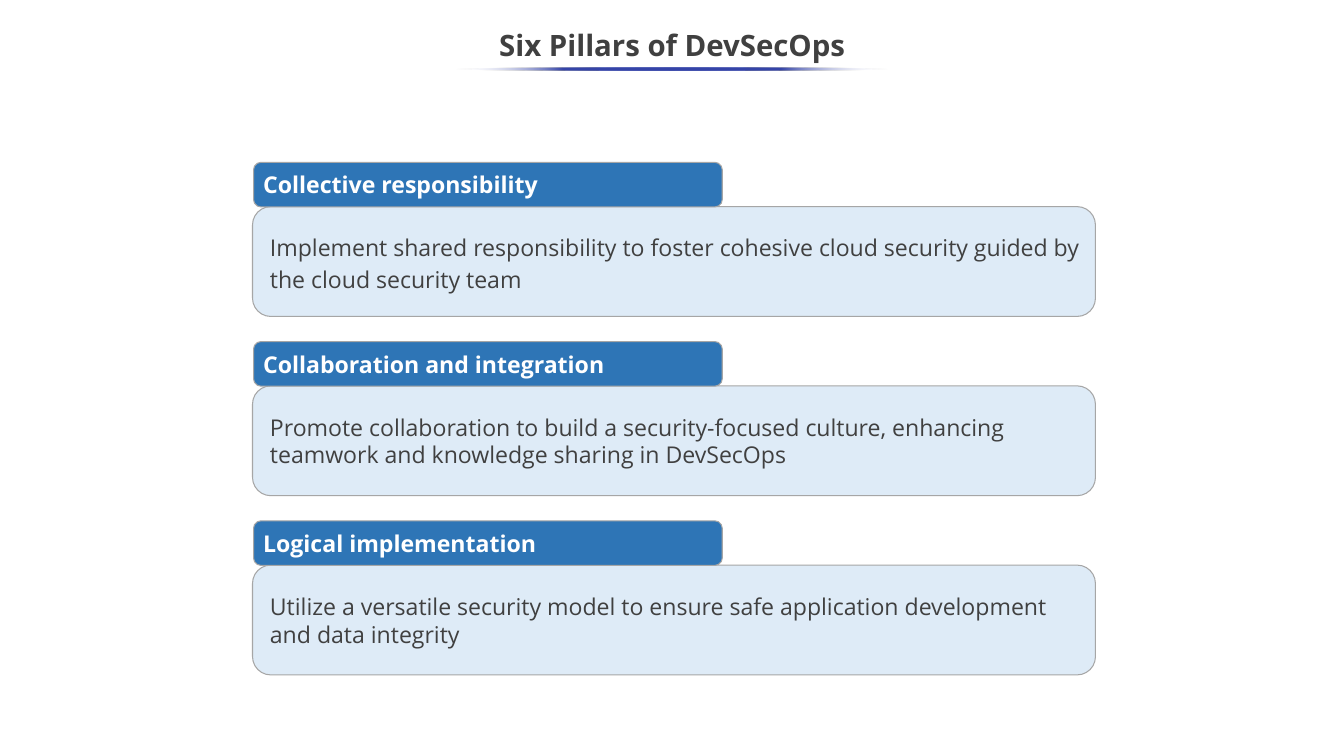
from dataclasses import dataclass

from lxml import etree
from pptx import Presentation
from pptx.dml.color import RGBColor
from pptx.enum.shapes import MSO_SHAPE as Shape
from pptx.enum.text import MSO_ANCHOR as Anchor, MSO_AUTO_SIZE as AutoSize, PP_ALIGN as Align
from pptx.oxml import parse_xml
from pptx.oxml.ns import nsdecls, qn
from pptx.util import Pt


@dataclass(frozen=True)
class Theme:
    font: str = "Open Sans"
    title_size: float = 28
    text_size: float = 22
    ink: str = "404040"
    white: str = "FFFFFF"
    heading_fill: str = "2E75B6"
    body_fill: str = "DEEBF7"
    border: str = "A6A6A6"
    accent: str = "3645A9"


def write(s, text, *, theme, size, color, bold=False, align=Align.LEFT,
          spacing=1.0, insets=(7.2, 3.6, 7.2, 3.6)):
    """Put one formatted paragraph into a shape."""
    tf = s.text_frame
    tf.word_wrap = True
    tf.auto_size = AutoSize.NONE
    tf.vertical_anchor = Anchor.MIDDLE
    tf.margin_left, tf.margin_top, tf.margin_right, tf.margin_bottom = map(Pt, insets)
    p = tf.paragraphs[0]
    p.alignment = align
    p.line_spacing = spacing
    r = p.add_run()
    r.text = text
    r.font.name = theme.font
    r.font.size = Pt(size)
    r.font.bold = bold
    r.font.color.rgb = RGBColor.from_string(color)


class Deck:
    def __init__(self, theme, width, height):
        self.theme = theme
        self.prs = Presentation()
        self.prs.slide_width, self.prs.slide_height = Pt(width), Pt(height)
        self.slide = None

    def add_slide(self):
        self.slide = self.prs.slides.add_slide(self.prs.slide_layouts[5])

    def title(self, text, box):
        s = self.slide.shapes.title
        s.left, s.top, s.width, s.height = map(Pt, box)
        write(s, text, theme=self.theme, size=self.theme.title_size,
              color=self.theme.ink, bold=True, align=Align.CENTER, spacing=0.9)

    def underline(self, box):
        """Thin ellipse that fades out at both ends."""
        s = self.slide.shapes.add_shape(Shape.OVAL, *map(Pt, box))
        s.shadow.inherit = False
        s.line.fill.background()
        t = self.theme
        grad = parse_xml(f'<a:gradFill {nsdecls("a")} rotWithShape="1"><a:gsLst/>'
                         '<a:lin ang="10800000" scaled="0"/></a:gradFill>')
        stops = [(0, t.white), (25, t.accent), (50, t.accent), (75, t.accent), (100, t.white)]
        for pos, color in stops:
            gs = etree.SubElement(grad[0], qn("a:gs"), pos=str(pos * 1000))
            clr = etree.SubElement(gs, qn("a:srgbClr"), val=color)
            if color == t.white:
                etree.SubElement(clr, qn("a:alpha"), val="0")
        s._element.spPr.find(qn("a:prstGeom")).addnext(grad)

    def rounded(self, group, box, fill):
        s = group.shapes.add_shape(Shape.ROUNDED_RECTANGLE, *map(Pt, box))
        s.shadow.inherit = False
        s.fill.solid()
        s.fill.fore_color.rgb = RGBColor.from_string(fill)
        s.line.color.rgb = RGBColor.from_string(self.theme.border)
        s.line.width = Pt(1)
        return s

    def pillar(self, heading, body, top, spacing):
        """Heading tab standing on a description panel."""
        t = self.theme
        group = self.slide.shapes.add_group_shape()
        panel = self.rounded(group, (240.5, top + 42.2, 802.8, 104.6), t.body_fill)
        write(panel, body, theme=t, size=t.text_size, color=t.ink, spacing=spacing,
              insets=(11.5, 7.2, 7.2, 7.2))
        tab = self.rounded(group, (241.5, top, 446.4, 42.5), t.heading_fill)
        write(tab, heading, theme=t, size=t.text_size, color=t.white, bold=True,
              insets=(7.2, 10.8, 7.2, 10.8))


PILLARS = [
    ("Collective responsibility",
     "Implement shared responsibility to foster cohesive cloud security "
     "guided by the cloud security team", 1.15),
    ("Collaboration and integration",
     "Promote collaboration to build a security-focused culture, enhancing "
     "teamwork and knowledge sharing in DevSecOps", 1.0),
    ("Logical implementation",
     "Utilize a versatile security model to ensure safe application development "
     "and data integrity", 1.0),
]
FIRST_TOP, PITCH = 154.6, 170.7


def main():
    deck = Deck(Theme(), 1280, 720)
    deck.add_slide()

    # Title with its underline
    deck.title("Six Pillars of DevSecOps", (-0.7, 18, 1281.6, 54))
    deck.underline((434.2, 64.4, 411.8, 2.9))

    # Pillars, evenly stacked
    for i, (heading, body, spacing) in enumerate(PILLARS):
        deck.pillar(heading, body, FIRST_TOP + i * PITCH, spacing)

    deck.prs.save("out.pptx")


if __name__ == "__main__":
    main()
